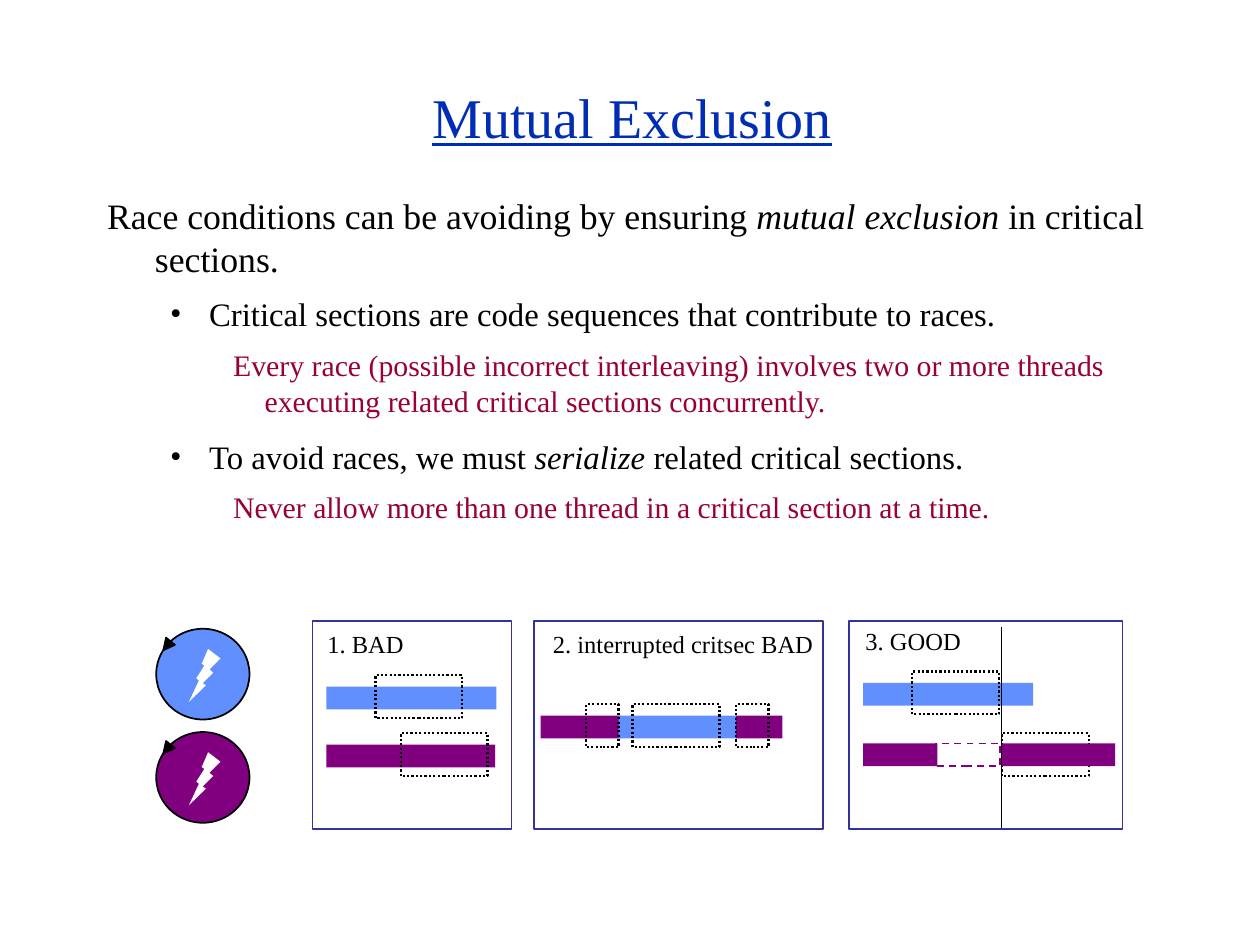
from lxml import etree
from pptx import Presentation
from pptx.dml.color import RGBColor
from pptx.enum.dml import MSO_LINE
from pptx.enum.shapes import MSO_CONNECTOR, MSO_SHAPE
from pptx.enum.text import MSO_ANCHOR, MSO_AUTO_SIZE, PP_ALIGN
from pptx.oxml.ns import qn
from pptx.util import Inches, Pt

COLORS = {
    "title": "002DB4",
    "text": "000000",
    "detail": "990033",
    "frame": "333399",
    "paper": "FFFFFF",
    "blue": "618FFD",
    "purple": "800080",
}
FONT = "Times New Roman"
BAR_HEIGHT = 0.18
SECTION_HEIGHT = 0.34
SECTION_WIDTH = 0.69

LEVELS = [
    {"size": 20.4, "left": 0.38, "indent": -0.38, "before": 9, "after": 0, "color": "text", "bullet": False},
    {"size": 18.7, "left": 0.81, "indent": -0.31, "before": 8.2, "after": 0, "color": "text", "bullet": True},
    {"size": 17, "left": 1.25, "indent": -0.25, "before": 7.5, "after": 2.5, "color": "detail", "bullet": False},
]
BODY = [
    (0, [("Race conditions can be avoiding by ensuring ", False), ("mutual exclusion", True),
         (" in critical sections.", False)]),
    (1, [("Critical sections are code sequences that contribute to races.", False)]),
    (2, [("Every race (possible incorrect interleaving) involves two or more threads "
          "executing related critical sections concurrently.", False)]),
    (1, [("To avoid races, we must ", False), ("serialize", True),
         (" related critical sections.", False)]),
    (2, [("Never allow more than one thread in a critical section at a time.", False)]),
]


def color(name):
    return RGBColor.from_string(COLORS[name])


def place(shape, left, top, width, height):
    shape.left, shape.top = Inches(left), Inches(top)
    shape.width, shape.height = Inches(width), Inches(height)


def style_font(font, size, color_name):
    font.name = FONT
    font.size = Pt(size)
    font.color.rgb = color(color_name)


def add_figure(slide, kind, box, fill=None, line=None, weight=1, dash=None):
    shape = slide.shapes.add_shape(kind, *map(Inches, box))
    shape.shadow.inherit = False
    if fill:
        shape.fill.solid()
        shape.fill.fore_color.rgb = color(fill)
    else:
        shape.fill.background()
    if line:
        shape.line.color.rgb = color(line)
        shape.line.width = Pt(weight)
        if dash:
            shape.line.dash_style = dash
    else:
        shape.line.fill.background()
    return shape


def add_panel(slide, left, width):
    add_figure(slide, MSO_SHAPE.RECTANGLE, (left, 4.93, width, 1.65), "paper", "frame")


def add_bar(slide, left, top, width, fill):
    add_figure(slide, MSO_SHAPE.RECTANGLE, (left, top, width, BAR_HEIGHT), fill)


def add_section(slide, left, top, width=SECTION_WIDTH):
    add_figure(slide, MSO_SHAPE.RECTANGLE, (left, top, width, SECTION_HEIGHT),
               line="text", weight=1.25, dash=MSO_LINE.ROUND_DOT)


def add_label(slide, text, left, top, width):
    label = slide.shapes.add_textbox(Inches(left), Inches(top), Inches(width), Inches(0.34))
    frame = label.text_frame
    frame.word_wrap = False
    frame.auto_size = MSO_AUTO_SIZE.SHAPE_TO_FIT_TEXT
    frame.text = text
    style_font(frame.paragraphs[0].runs[0].font, 14, "text")


def add_thread(slide, top, fill):
    add_figure(slide, MSO_SHAPE.OVAL, (1.24, top, 0.74, 0.72), fill, "text")
    bolt = add_figure(slide, MSO_SHAPE.LIGHTNING_BOLT, (1.5, top + 0.16, 0.25, 0.42), "paper")
    bolt._element.spPr.find(qn("a:xfrm")).set("flipH", "1")
    arrow = add_figure(slide, MSO_SHAPE.ISOSCELES_TRIANGLE, (1.28, top + 0.09, 0.09, 0.09),
                       "text", "text")
    arrow.rotation = 219


def add_time_line(slide, x, top, bottom):
    line = slide.shapes.add_connector(MSO_CONNECTOR.STRAIGHT, Inches(x), Inches(top),
                                      Inches(x), Inches(bottom))
    line.line.color.rgb = color("text")
    line.line.width = Pt(0.75)
    etree.SubElement(line._element.spPr, qn("a:effectLst"))


def set_bullet(paragraph, level):
    properties = paragraph._p.get_or_add_pPr()
    properties.set("marL", str(Inches(level["left"])))
    properties.set("indent", str(Inches(level["indent"])))
    if level["bullet"]:
        bullet_color = etree.SubElement(properties, qn("a:buClr"))
        etree.SubElement(bullet_color, qn("a:srgbClr"), val=COLORS["text"])
        etree.SubElement(properties, qn("a:buFont"), typeface=FONT)
        etree.SubElement(properties, qn("a:buChar"), char="•")
    else:
        etree.SubElement(properties, qn("a:buNone"))


def fill_title(title):
    place(title, 0.77, 0.46, 8.5, 0.92)
    frame = title.text_frame
    frame.text = "Mutual Exclusion"
    frame.auto_size = MSO_AUTO_SIZE.NONE
    frame.vertical_anchor = MSO_ANCHOR.MIDDLE
    paragraph = frame.paragraphs[0]
    paragraph.alignment = PP_ALIGN.CENTER
    font = paragraph.runs[0].font
    style_font(font, 32, "title")
    font.underline = True


def fill_body(body):
    place(body, 0.75, 1.49, 8.5, 3.14)
    frame = body.text_frame
    frame.auto_size = MSO_AUTO_SIZE.NONE
    for index, (depth, parts) in enumerate(BODY):
        level = LEVELS[depth]
        paragraph = frame.add_paragraph() if index else frame.paragraphs[0]
        paragraph.level = depth
        set_bullet(paragraph, level)
        paragraph.space_before = Pt(level["before"] if index else 0)
        paragraph.space_after = Pt(level["after"])
        for text, italic in parts:
            run = paragraph.add_run()
            run.text = text
            style_font(run.font, level["size"], level["color"])
            run.font.italic = italic


def draw_overlap(slide):
    add_panel(slide, 2.48, 1.58)
    add_label(slide, "1. BAD", 2.5, 4.94, 0.9)
    add_bar(slide, 2.59, 5.45, 1.35, "blue")
    add_section(slide, 2.98, 5.36)
    add_bar(slide, 2.59, 5.91, 1.34, "purple")
    add_section(slide, 3.18, 5.82)


def draw_interruption(slide):
    add_panel(slide, 4.24, 2.29)
    add_label(slide, "2. interrupted critsec BAD", 4.29, 4.94, 2.27)
    for left, width, fill in [(4.29, 0.64, "purple"), (4.91, 0.94, "blue"), (5.84, 0.37, "purple")]:
        add_bar(slide, left, 5.68, width, fill)
    for left, width in [(4.65, 0.26), (5.02, SECTION_WIDTH), (5.84, 0.26)]:
        add_section(slide, left, 5.59, width)


def draw_serialized(slide):
    add_panel(slide, 6.74, 2.17)
    add_bar(slide, 6.85, 5.42, 1.35, "blue")
    add_section(slide, 7.24, 5.33)
    add_bar(slide, 6.85, 5.9, 0.59, "purple")
    add_section(slide, 7.95, 5.82)
    add_bar(slide, 7.95, 5.9, 0.9, "purple")
    add_time_line(slide, 7.95, 4.98, 6.57)
    add_label(slide, "3. GOOD", 6.77, 4.92, 0.96)
    add_figure(slide, MSO_SHAPE.RECTANGLE, (7.43, 5.9, 0.51, BAR_HEIGHT),
               line="purple", dash=MSO_LINE.DASH)


def main():
    presentation = Presentation()
    presentation.slide_width, presentation.slide_height = Inches(10), Inches(7.5)
    slide = presentation.slides.add_slide(presentation.slide_layouts[1])
    fill_title(slide.shapes.title)
    fill_body(slide.placeholders[1])
    add_thread(slide, 4.99, "blue")
    add_thread(slide, 5.81, "purple")
    draw_overlap(slide)
    draw_interruption(slide)
    draw_serialized(slide)
    presentation.save("out.pptx")


if __name__ == "__main__":
    main()
